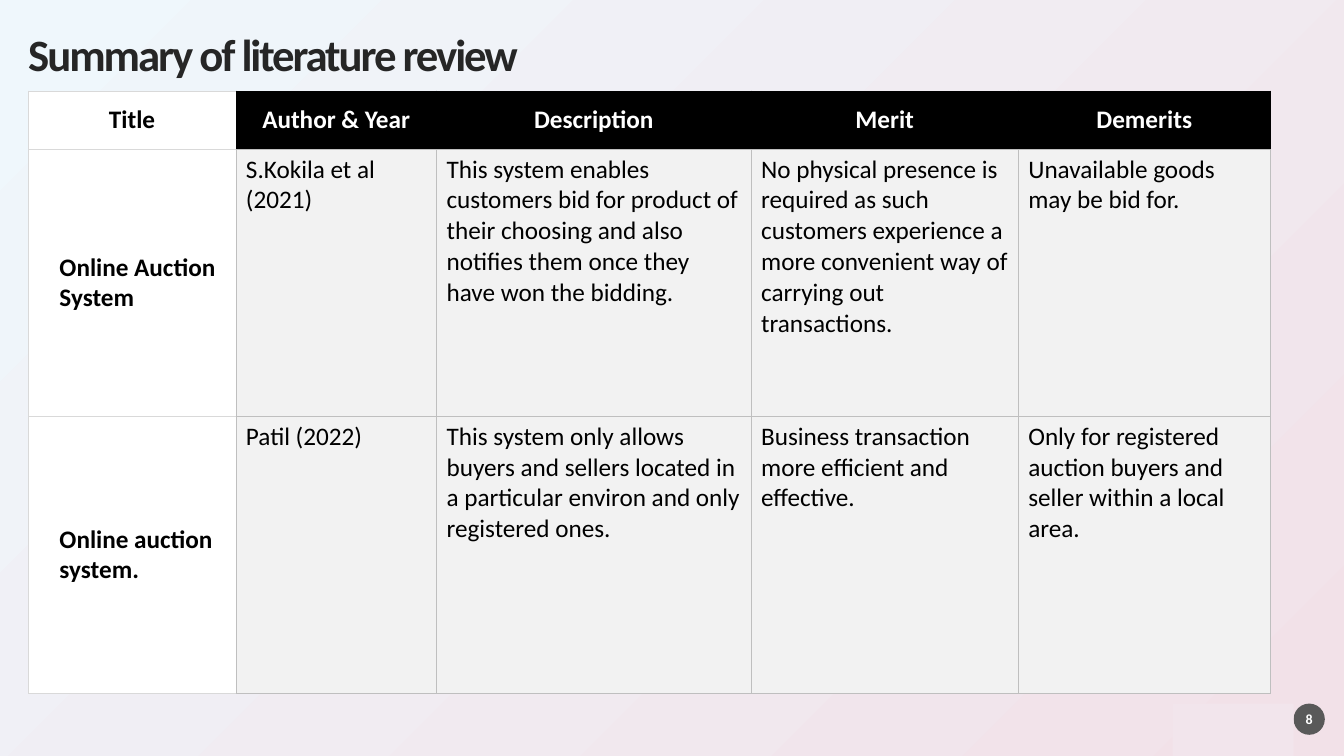
from dataclasses import dataclass

from lxml import etree
from pptx import Presentation
from pptx.dml.color import RGBColor
from pptx.enum import shapes, text
from pptx.oxml.ns import qn
from pptx.util import Inches, Pt


@dataclass(frozen=True)
class Theme:
    font: str = "Calibri"
    title_size: int = 32
    table_size: int = 18
    badge_size: int = 10
    title: str = "262626"
    black: str = "000000"
    white: str = "FFFFFF"
    body_fill: str = "F2F2F2"
    grid: str = "BFBFBF"
    light_grid: str = "D9D9D9"
    badge: str = "595959"
    corner: str = "F2E5EC"
    sky: str = "EFF7FC"
    rose: str = "F2E1E8"


THEME = Theme()
COLUMN_WIDTHS = [2.06, 1.99, 3.12, 2.65, 2.5]
ROW_HEIGHTS = [0.58, 2.65, 2.75]
REVIEW = [
    ["Title", "Author & Year", "Description", "Merit", "Demerits"],
    [
        "Online Auction System",
        "S.Kokila et al (2021)",
        "This system enables customers bid for product of their choosing "
        "and also notifies them once they have won the bidding.",
        "No physical presence is required as such customers experience a "
        "more convenient way of carrying out transactions.",
        "Unavailable goods may be bid for.",
    ],
    [
        "Online auction system.",
        "Patil (2022)",
        "This system only allows buyers and sellers located in a particular "
        "environ and only registered ones.",
        "Business transaction more efficient and effective.",
        "Only for registered auction buyers and seller within a local area.",
    ],
]


def rgb(color):
    return RGBColor.from_string(color)


def style_text(frame, size, color, bold, align):
    for paragraph in frame.paragraphs:
        paragraph.alignment = align
        for run in paragraph.runs:
            run.font.name = THEME.font
            run.font.size = Pt(size)
            run.font.bold = bold
            run.font.color.rgb = rgb(color)


def clear_margins(frame):
    frame.margin_left = frame.margin_right = 0
    frame.margin_top = frame.margin_bottom = 0


def paint_background(slide):
    fill = slide.background.fill
    fill.gradient()
    for stop, color in zip(fill.gradient_stops, (THEME.sky, THEME.rose)):
        stop.color.rgb = rgb(color)
    gradient = next(slide.element.iter(qn("a:gradFill")))
    gradient.remove(gradient.find(qn("a:lin")))
    circle = etree.SubElement(gradient, qn("a:path"), path="circle")
    etree.SubElement(circle, qn("a:fillToRect"), r="100000", b="100000")


def place_title(slide, left, top, width, height):
    title = slide.shapes.title
    title.left, title.top = Inches(left), Inches(top)
    title.width, title.height = Inches(width), Inches(height)
    frame = title.text_frame
    frame.text = "Summary of literature review"
    frame.auto_size = text.MSO_AUTO_SIZE.NONE
    frame.vertical_anchor = text.MSO_ANCHOR.MIDDLE
    clear_margins(frame)
    frame.paragraphs[0].line_spacing = 0.9
    style_text(frame, THEME.title_size, THEME.title, True, text.PP_ALIGN.LEFT)
    frame.paragraphs[0].runs[0].font._element.set("spc", "-150")


def set_borders(cell, **edges):
    properties = cell._tc.get_or_add_tcPr()
    for side in "LRTB":
        line = etree.SubElement(properties, qn(f"a:ln{side}"), w=str(Pt(0.25)))
        solid = etree.SubElement(line, qn("a:solidFill"))
        etree.SubElement(solid, qn("a:srgbClr"), val=edges[side])


def format_cell(cell, is_header, is_first):
    if is_first:
        fill, edge = THEME.white, THEME.light_grid
    elif is_header:
        fill, edge = THEME.black, THEME.black
    else:
        fill, edge = THEME.body_fill, THEME.grid
    edges = dict.fromkeys("LRTB", edge)
    if is_header and not is_first:
        edges["B"] = THEME.grid
    if is_first and not is_header:
        edges["R"] = THEME.grid
        cell.margin_left = Inches(0.31)
    set_borders(cell, **edges)
    cell.fill.solid()
    cell.fill.fore_color.rgb = rgb(fill)
    if is_header or is_first:
        cell.vertical_anchor = text.MSO_ANCHOR.MIDDLE
    style_text(
        cell.text_frame,
        THEME.table_size,
        THEME.white if fill == THEME.black else THEME.black,
        is_header or is_first,
        text.PP_ALIGN.CENTER if is_header else text.PP_ALIGN.LEFT,
    )


def place_review_table(slide, left, top):
    review = slide.shapes.add_table(
        len(ROW_HEIGHTS), len(COLUMN_WIDTHS), Inches(left), Inches(top),
        Inches(sum(COLUMN_WIDTHS)), Inches(sum(ROW_HEIGHTS)),
    ).table
    review.first_row = review.horz_banding = False
    for column, width in zip(review.columns, COLUMN_WIDTHS):
        column.width = Inches(width)
    for row, height in zip(review.rows, ROW_HEIGHTS):
        row.height = Inches(height)
    for r, entries in enumerate(REVIEW):
        for c, entry in enumerate(entries):
            cell = review.cell(r, c)
            cell.text_frame.text = entry
            format_cell(cell, r == 0, c == 0)


def add_plain_shape(slide, preset, box, color):
    shape = slide.shapes.add_shape(preset, *map(Inches, box))
    shape.shadow.inherit = False
    shape.fill.solid()
    shape.fill.fore_color.rgb = rgb(color)
    shape.line.fill.background()
    return shape


def place_footer(slide, left, top, corner_width, corner_height):
    diameter = 0.31
    badge = add_plain_shape(
        slide, shapes.MSO_SHAPE.OVAL,
        (left + corner_width, top, diameter, diameter), THEME.badge,
    )
    frame = badge.text_frame
    frame.text = "8"
    frame.vertical_anchor = text.MSO_ANCHOR.MIDDLE
    clear_margins(frame)
    style_text(frame, THEME.badge_size, THEME.white, True, text.PP_ALIGN.CENTER)
    add_plain_shape(
        slide, shapes.MSO_SHAPE.RECTANGLE,
        (left, top, corner_width, corner_height), THEME.corner,
    )


def main():
    deck = Presentation()
    deck.slide_width, deck.slide_height = Inches(13.33), Inches(7.5)
    slide = deck.slides.add_slide(deck.slide_layouts.get_by_name("Title Only"))
    paint_background(slide)
    place_title(slide, 0.28, 0.33, 11.09, 0.47)
    place_review_table(slide, 0.28, 0.9)
    place_footer(slide, 11.63, 6.98, 1.2, 0.52)
    deck.save("out.pptx")


if __name__ == "__main__":
    main()
